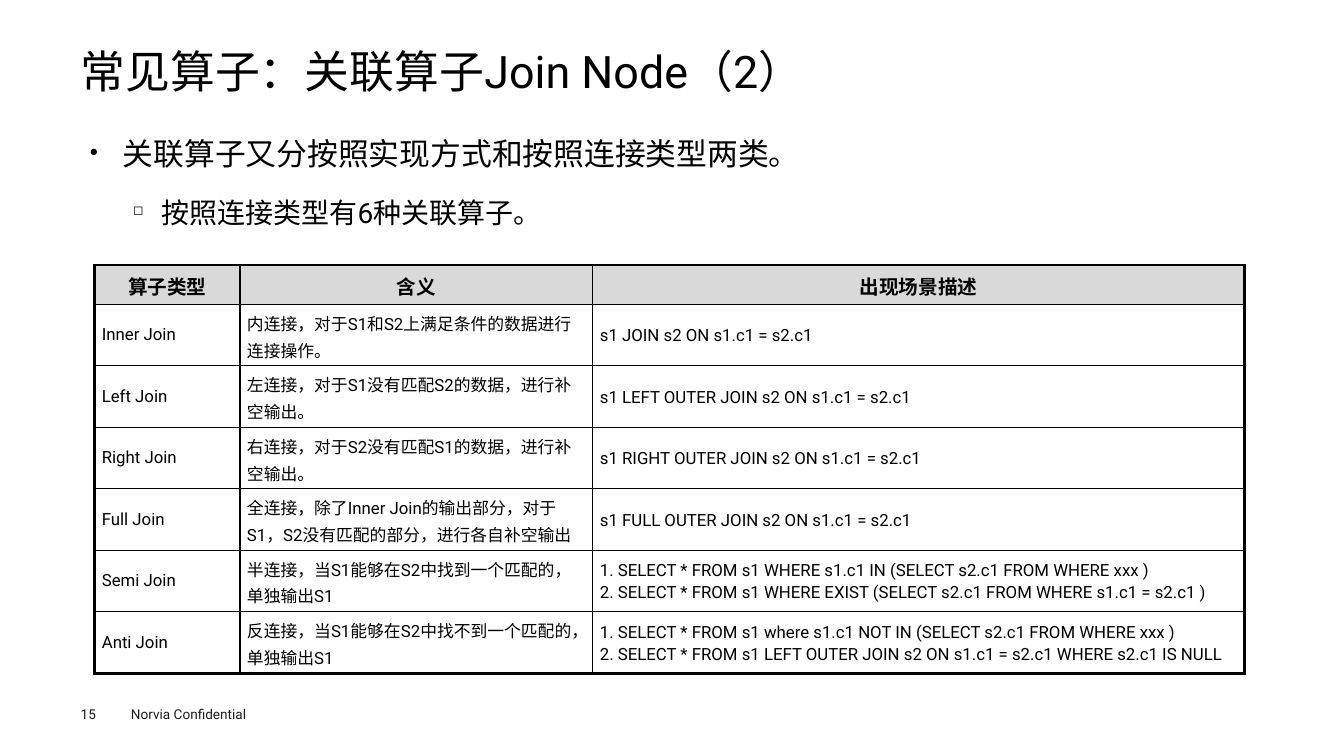
from lxml.etree import SubElement
from pptx import Presentation
from pptx.dml.color import RGBColor
from pptx.enum.text import MSO_ANCHOR as Anchor, PP_ALIGN as Align
from pptx.oxml.ns import qn
from pptx.util import Inches, Pt

WIDTH, HEIGHT = 13.33, 7.5
LEFT, CONTENT_WIDTH = 0.8, 11.73
FONT = "Roboto"
BLACK, FOOTER_INK, HEADER_FILL = "000000", "1D1D1B", "D9D9D9"
OUTER_LINE, INNER_LINE = 2.25, 1

TITLE = "常见算子：关联算子Join Node（2）"
BULLETS = [
    {"text": "关联算子又分按照实现方式和按照连接类型两类。", "size": 22, "mark": "●",
     "scale": 35, "indent": 0.33, "hang": 0.33, "align": Align.JUSTIFY, "before": 0},
    {"text": "按照连接类型有6种关联算子。", "size": 20, "mark": "◻",
     "scale": 45, "indent": 0.71, "hang": 0.28, "align": Align.LEFT, "before": 7.2},
]
COLUMNS = [1.44, 3.5, 6.46]
HEADER_ROW, BODY_ROW = 0.39, 0.61
JOINS = [
    ("算子类型", "含义", ["出现场景描述"]),
    ("Inner Join", "内连接，对于S1和S2上满足条件的数据进行连接操作。",
     ["s1 JOIN s2 ON s1.c1 = s2.c1"]),
    ("Left Join", "左连接，对于S1没有匹配S2的数据，进行补空输出。",
     ["s1 LEFT OUTER JOIN s2 ON s1.c1 = s2.c1"]),
    ("Right Join", "右连接，对于S2没有匹配S1的数据，进行补空输出。",
     ["s1 RIGHT OUTER JOIN s2 ON s1.c1 = s2.c1"]),
    ("Full Join", "全连接，除了Inner Join的输出部分，对于S1，S2没有匹配的部分，进行各自补空输出",
     ["s1 FULL OUTER JOIN s2 ON s1.c1 = s2.c1"]),
    ("Semi Join", "半连接，当S1能够在S2中找到一个匹配的，单独输出S1",
     ["1. SELECT * FROM s1 WHERE s1.c1 IN (SELECT s2.c1 FROM WHERE xxx )",
      "2. SELECT * FROM s1 WHERE EXIST (SELECT s2.c1 FROM WHERE s1.c1 = s2.c1 )"]),
    ("Anti Join", "反连接，当S1能够在S2中找不到一个匹配的，单独输出S1",
     ["1. SELECT * FROM s1 where s1.c1 NOT IN (SELECT s2.c1 FROM WHERE xxx )",
      "2. SELECT * FROM s1 LEFT OUTER JOIN s2 ON s1.c1 = s2.c1 WHERE s2.c1 IS NULL"]),
]
FOOTERS = [
    ("Norvia Confidential", (1.2, 6.95, 1.6, 0.27), (0.1, 0.05, 0.1, 0.05)),
    ("15", (LEFT, 7, 0.55, 0.16), (0, 0, 0, 0)),
]


def color(value):
    return RGBColor.from_string(value)


def apply(target, values):
    for name, value in values.items():
        setattr(target, name, value)


def set_margins(target, margins):
    sides = ("margin_left", "margin_top", "margin_right", "margin_bottom")
    apply(target, dict(zip(sides, map(Inches, margins))))


def write(para, text, size, ink=BLACK, bold=False, **layout):
    apply(para, layout)
    span = para.add_run()
    span.text = text
    apply(span.font, {"name": FONT, "size": Pt(size), "bold": bold})
    span.font.color.rgb = color(ink)


def place(shape, area):
    apply(shape, dict(zip(("left", "top", "width", "height"), map(Inches, area))))


def add_box(page, area, margins):
    box = page.shapes.add_textbox(*map(Inches, area))
    box.text_frame.word_wrap = True
    set_margins(box.text_frame, margins)
    return box.text_frame


def add_bullet(para, mark, scale, indent, hang):
    props = para._p.get_or_add_pPr()
    props.set("marL", str(Inches(indent)))
    props.set("indent", str(-Inches(hang)))
    SubElement(props, qn("a:buSzPct"), val=str(scale * 1000))
    SubElement(props, qn("a:buChar"), char=mark)


def add_borders(cell, outer_sides):
    props = cell._tc.get_or_add_tcPr()
    for side in "LRTB":
        points = OUTER_LINE if side in outer_sides else INNER_LINE
        line = SubElement(props, qn(f"a:ln{side}"), w=str(Pt(points)))
        fill = SubElement(line, qn("a:solidFill"))
        SubElement(fill, qn("a:srgbClr"), val=BLACK)


def fill_cell(cell, lines, row, column):
    header = row == 0
    edges = {"L": column == 0, "R": column == len(COLUMNS) - 1,
             "T": header, "B": row == len(JOINS) - 1}
    add_borders(cell, [side for side, outer in edges.items() if outer])
    if header:
        cell.fill.solid()
        cell.fill.fore_color.rgb = color(HEADER_FILL)
    else:
        cell.fill.background()
    cell.vertical_anchor = Anchor.MIDDLE
    set_margins(cell, (0.07, 0.04, 0.07, 0.04))
    spacing = Pt(14) if column == 0 and not header else 1.1
    for index, text in enumerate(lines):
        frame = cell.text_frame
        para = frame.add_paragraph() if index else frame.paragraphs[0]
        write(para, text, 14 if header else 12, bold=header, line_spacing=spacing,
              alignment=Align.CENTER if header else Align.LEFT)


def add_join_table(page):
    heights = [HEADER_ROW] + [BODY_ROW] * (len(JOINS) - 1)
    area = (0.94, 2.63, sum(COLUMNS), sum(heights))
    table = page.shapes.add_table(len(JOINS), len(COLUMNS), *map(Inches, area)).table
    apply(table, {"first_row": False, "horz_banding": False})
    for column, width in zip(table.columns, COLUMNS):
        column.width = Inches(width)
    for row, (name, meaning, scenes) in enumerate(JOINS):
        table.rows[row].height = Inches(heights[row])
        for column, lines in enumerate(([name], [meaning], scenes)):
            fill_cell(table.cell(row, column), lines, row, column)


def main():
    deck = Presentation()
    apply(deck, {"slide_width": Inches(WIDTH), "slide_height": Inches(HEIGHT)})
    page = deck.slides.add_slide(deck.slide_layouts[5])

    title = page.shapes.title
    place(title, (LEFT, 0.47, CONTENT_WIDTH, 0.53))
    apply(title.text_frame, {"word_wrap": True, "vertical_anchor": Anchor.MIDDLE})
    set_margins(title.text_frame, (0, 0, 0, 0))
    write(title.text_frame.paragraphs[0], TITLE, 32,
          alignment=Align.LEFT, line_spacing=0.9)

    body = add_box(page, (LEFT, 1.15, CONTENT_WIDTH, 5.34), (0.09, 0.04, 0.09, 0.04))
    for index, item in enumerate(BULLETS):
        para = body.add_paragraph() if index else body.paragraphs[0]
        apply(para, {"line_spacing": 1.4, "space_before": Pt(item["before"])})
        add_bullet(para, item["mark"], item["scale"], item["indent"], item["hang"])
        write(para, item["text"], item["size"], alignment=item["align"], level=index)

    add_join_table(page)
    for text, area, margins in FOOTERS:
        write(add_box(page, area, margins).paragraphs[0], text, 9.7, FOOTER_INK)
    deck.save("out.pptx")


if __name__ == "__main__":
    main()
